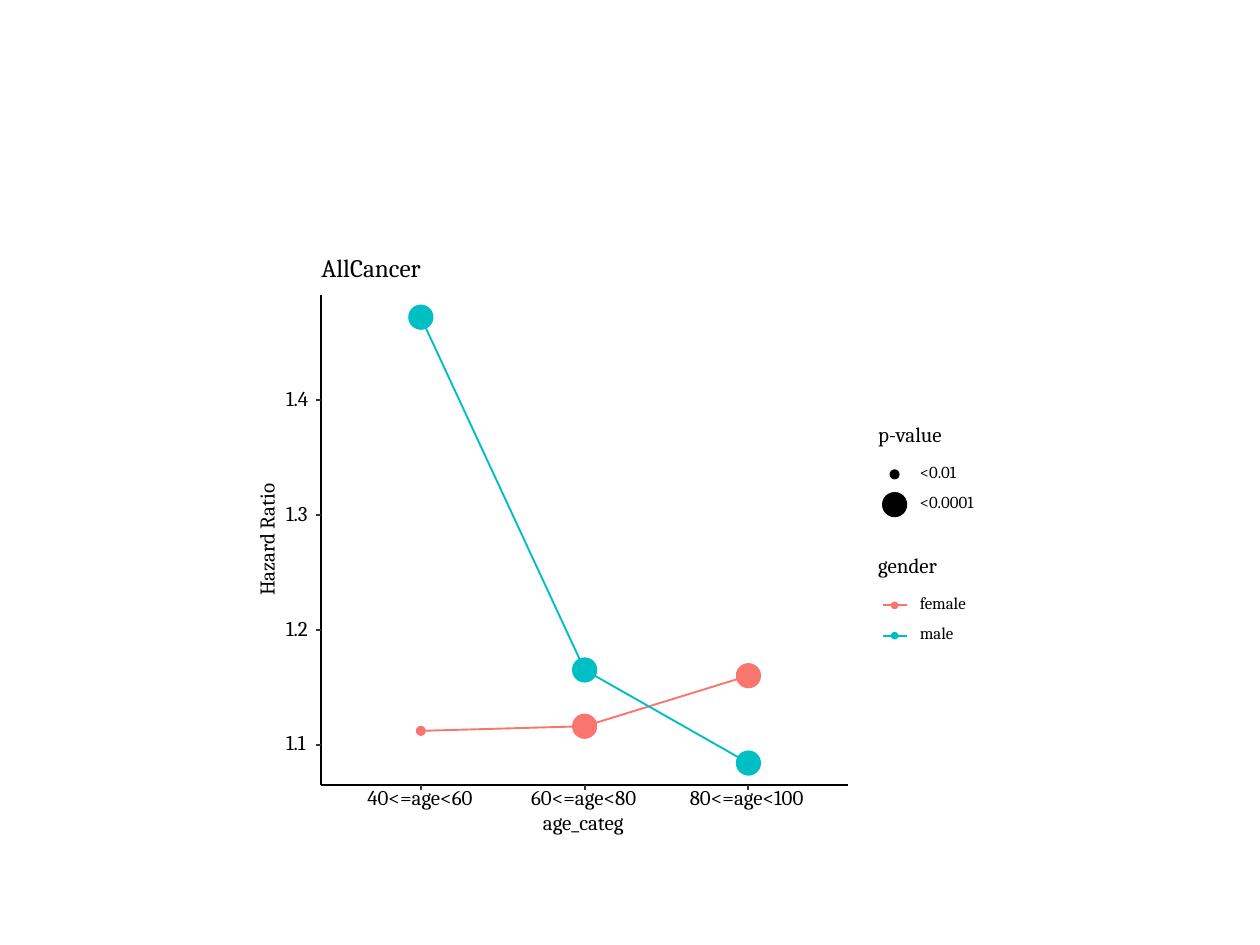
from lxml import etree
from pptx import Presentation
from pptx import util as u
from pptx.dml.color import RGBColor
from pptx.enum import shapes, text
from pptx.oxml.ns import qn

COLORS = {"female": "F8766D", "male": "00BFC4", "ink": "000000", "tick": "333333"}
FONT = "Cambria"
TITLE = "AllCancer"
CATEGORIES = [("40<=age<60", 0.85), ("60<=age<80", 0.85), ("80<=age<100", 0.93)]  # label, width
TICKS = [1.1, 1.2, 1.3, 1.4]
SIZES = {"<0.01": 0.07, "<0.0001": 0.19}  # dot diameter by p-value
SERIES = {  # hazard ratio and p-value for each age category
    "female": [(1.112, "<0.01"), (1.116, "<0.0001"), (1.16, "<0.0001")],
    "male": [(1.472, "<0.0001"), (1.165, "<0.0001"), (1.084, "<0.0001")],
}
LEGEND_WIDTHS = {"<0.01": 0.31, "<0.0001": 0.44, "female": 0.36, "male": 0.26}

LEFT, RIGHT, TOP, BOTTOM = 2.55, 6.73, 2.34, 6.23
TICK_LENGTH = 0.04
FIRST_X, STEP_X = 3.34, 1.3
BASE_Y, INCHES_PER_UNIT = 5.91, 9.12
KEY_X, KEY_WIDTH, LEGEND_TEXT_X = 7.1, 0.19, 7.3


def x_of(index):
    return FIRST_X + index * STEP_X


def y_of(ratio):
    return BASE_Y - (ratio - TICKS[0]) * INCHES_PER_UNIT


def color(name):
    return RGBColor.from_string(COLORS[name])


def write(shape, words, size):
    frame = shape.text_frame
    frame.text = words
    frame.word_wrap = False
    frame.auto_size = text.MSO_AUTO_SIZE.NONE
    frame.vertical_anchor = text.MSO_ANCHOR.MIDDLE
    frame.margin_left = frame.margin_right = frame.margin_top = frame.margin_bottom = 0
    paragraph = frame.paragraphs[0]
    paragraph.alignment = text.PP_ALIGN.LEFT
    paragraph.line_spacing = u.Pt(size)
    font = paragraph.runs[0].font
    font.name, font.size = FONT, u.Pt(size)
    font.color.rgb = color("ink")


def add_label(slide, words, left, middle, width, size=12, height=0.14):
    """Add a line of text centred vertically on middle."""
    box = slide.shapes.add_textbox(u.Inches(left), u.Inches(middle - height / 2),
                                   u.Inches(width), u.Inches(height))
    write(box, words, size)
    return box


def add_line(slide, x1, y1, x2, y2, name, width=1.07):
    line = slide.shapes.add_connector(shapes.MSO_CONNECTOR.STRAIGHT,
                                      *map(u.Inches, (x1, y1, x2, y2)))
    line.line.color.rgb = color(name)
    line.line.width = u.Pt(width)
    etree.SubElement(line.element.spPr, qn("a:effectLst"))


def add_dot(slide, x, y, diameter, name):
    dot = slide.shapes.add_shape(shapes.MSO_SHAPE.OVAL, u.Inches(x - diameter / 2),
                                 u.Inches(y - diameter / 2),
                                 u.Inches(diameter), u.Inches(diameter))
    dot.shadow.inherit = False
    dot.fill.solid()
    dot.fill.fore_color.rgb = dot.line.color.rgb = color(name)
    dot.line.width = u.Pt(0.71)


def add_series_line(slide, name, values):
    points = [(u.Inches(x_of(i)), u.Inches(y_of(ratio))) for i, (ratio, _) in enumerate(values)]
    builder = slide.shapes.build_freeform(*points[0])
    builder.add_line_segments(points[1:], close=False)
    line = builder.convert_to_shape()
    line.shadow.inherit = False
    line.fill.background()
    line.line.color.rgb = color(name)
    line.line.width = u.Pt(1.07)


def add_data(slide):
    for name, values in SERIES.items():
        add_series_line(slide, name, values)
    for i in range(len(CATEGORIES)):
        for name in ("male", "female"):
            ratio, p_value = SERIES[name][i]
            add_dot(slide, x_of(i), y_of(ratio), SIZES[p_value], name)


def add_axes(slide):
    add_line(slide, LEFT, BOTTOM, LEFT, TOP, "ink")
    add_line(slide, LEFT, BOTTOM, RIGHT, BOTTOM, "ink")
    for tick in TICKS:
        y = y_of(tick)
        add_label(slide, f"{tick:.1f}", 2.27, y, 0.21, height=0.11)
        add_line(slide, LEFT - TICK_LENGTH, y, LEFT, y, "tick", 1.16)
    for i, (label, width) in enumerate(CATEGORIES):
        x = x_of(i)
        add_line(slide, x, BOTTOM + TICK_LENGTH, x, BOTTOM, "tick", 1.16)
        add_label(slide, label, x - width / 2, 6.345, width, height=0.15)
    add_label(slide, "age_categ", 4.31, 6.54, 0.67)
    add_label(slide, "Hazard Ratio", 1.69, 4.29, 0.88, height=0.12).rotation = 270


def add_legend(slide, title, width, middle, entries):
    """Add a legend title and yield the name and key height of each entry."""
    add_label(slide, title, 6.97, middle, width, height=0.15)
    for row, entry in enumerate(entries):
        y = middle + 0.29 + row * 0.24
        add_label(slide, entry, LEGEND_TEXT_X, y, LEGEND_WIDTHS[entry], 9.6, 0.09)
        yield entry, y + 0.01


def main():
    presentation = Presentation()
    presentation.slide_width, presentation.slide_height = u.Inches(10), u.Inches(7.5)
    slide = presentation.slides.add_slide(presentation.slide_layouts[5])

    title = slide.shapes.title
    title.left, title.top = u.Inches(LEFT), u.Inches(2.07)
    title.width, title.height = u.Inches(0.82), u.Inches(0.14)
    write(title, TITLE, 14.4)

    add_data(slide)
    add_axes(slide)
    for p_value, y in add_legend(slide, "p-value", 0.5, 3.465, SIZES):
        add_dot(slide, KEY_X, y, SIZES[p_value], "ink")
    for name, y in add_legend(slide, "gender", 0.45, 4.505, SERIES):
        add_line(slide, KEY_X - KEY_WIDTH / 2, y, KEY_X + KEY_WIDTH / 2, y, name)
        add_dot(slide, KEY_X, y, 0.05, name)

    presentation.save("out.pptx")


if __name__ == "__main__":
    main()
